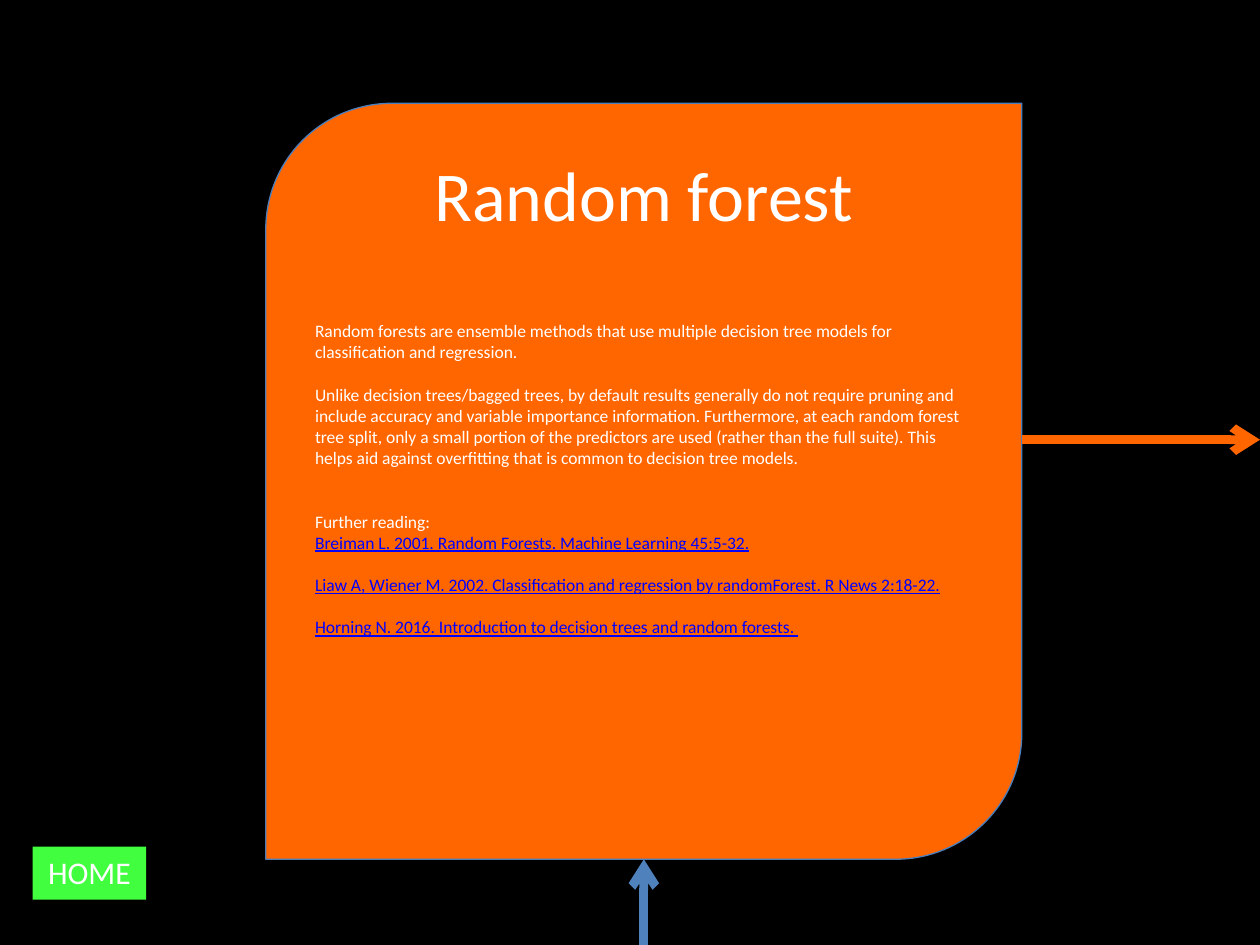
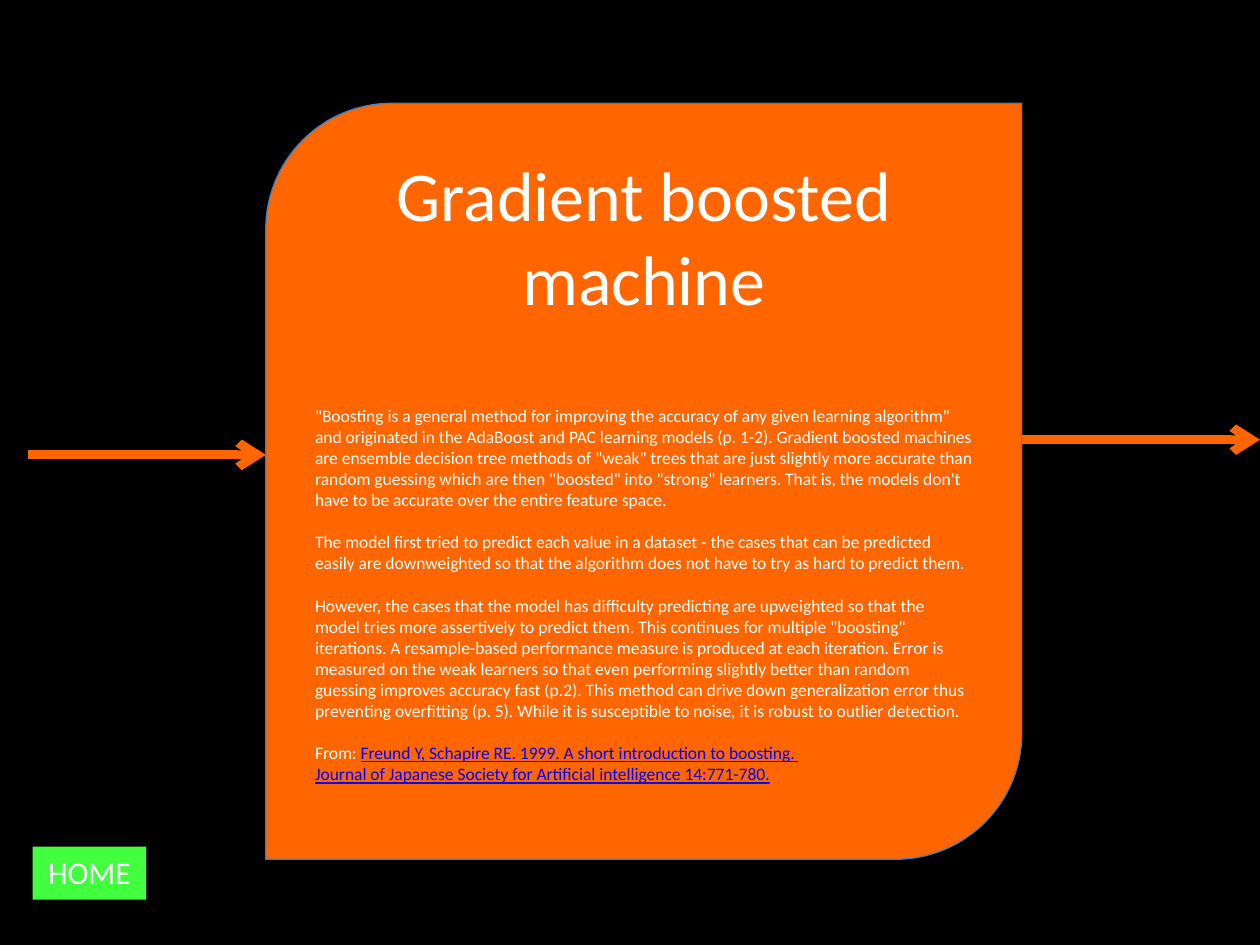
from lxml import etree
from pptx import Presentation
from pptx.dml.color import RGBColor
from pptx.enum.shapes import MSO_CONNECTOR, MSO_SHAPE
from pptx.enum.text import MSO_ANCHOR, MSO_AUTO_SIZE, PP_ALIGN
from pptx.oxml.ns import qn
from pptx.util import Inches, Pt

FONT = "Calibri"
BLACK, WHITE, ORANGE = "000000", "FFFFFF", "FF6600"
GREEN, BLUE, OUTLINE, LINK = "41FF3F", "4F81BD", "4B7EBC", "0000FF"
CARD = (2.11, 0.82, 6, 6)
HOME = (0.26, 6.72, 0.9, 0.42)
CORNER = 0.29
TITLE_TOP, TITLE_LINE = 0.38, 0.67
BLANK_LINE = 12.2


def rgb(value):
    """Turn a hex string into a colour."""
    return RGBColor.from_string(value)


def inches(*lengths):
    """Turn numbers into lengths."""
    return [Inches(length) for length in lengths]


def add_run(paragraph, text, size, color=WHITE):
    """Add a run, underlined when it has the link colour."""
    run = paragraph.add_run()
    run.text = text
    run.font.name = FONT
    run.font.size = Pt(size)
    run.font.color.rgb = rgb(color)
    if color == LINK:
        run.font.underline = True


def add_arrow(slide, start, end, color):
    """Draw a thick arrow from start to end."""
    arrow = slide.shapes.add_connector(MSO_CONNECTOR.STRAIGHT, *inches(*start, *end))
    arrow.line.color.rgb = rgb(color)
    arrow.line.width = Pt(5)
    etree.SubElement(arrow.line._get_or_add_ln(), qn("a:tailEnd"), type="arrow")
    etree.SubElement(arrow._element.spPr, qn("a:effectLst"))


def add_title(slide, box, text, lines):
    """Place the title in the upper part of the card, above its fill."""
    left, top, width, _ = box
    title = slide.shapes.title
    title.left, title.top, title.width, title.height = inches(
        left + CORNER, top + TITLE_TOP, width - 2 * CORNER, lines * TITLE_LINE)
    frame = title.text_frame
    frame.auto_size = MSO_AUTO_SIZE.NONE
    frame.vertical_anchor = MSO_ANCHOR.TOP
    frame.margin_top = frame.margin_bottom = 0
    frame.paragraphs[0].alignment = PP_ALIGN.CENTER
    add_run(frame.paragraphs[0], text, 40)
    slide.shapes._spTree.append(title._element)


def add_card(slide, box, title, title_lines, body):
    """Draw the card with its title and, one title line below, its text."""
    card = slide.shapes.add_shape(MSO_SHAPE.ROUND_2_DIAG_RECTANGLE, *inches(*box))
    card.shadow.inherit = False
    card.fill.solid()
    card.fill.fore_color.rgb = rgb(ORANGE)
    card.line.color.rgb = rgb(OUTLINE)
    card.line.width = Pt(0.75)
    frame = card.text_frame
    frame.word_wrap = True
    frame.vertical_anchor = MSO_ANCHOR.TOP
    frame.margin_top = Inches(TITLE_TOP + (title_lines + 1) * TITLE_LINE - CORNER)
    for index, (blank_lines, runs) in enumerate(body):
        paragraph = frame.add_paragraph() if index else frame.paragraphs[0]
        paragraph.alignment = PP_ALIGN.LEFT
        paragraph.space_before = Pt(blank_lines * BLANK_LINE)
        for text, color in runs:
            first, *rest = text.split("\n")
            add_run(paragraph, first, 10, color)
            for line in rest:
                paragraph.add_line_break()
                add_run(paragraph, line, 10, color)
    add_title(slide, box, title, title_lines)


def add_home(slide, box):
    """Place the green home button."""
    button = slide.shapes.add_textbox(*inches(*box))
    button.fill.solid()
    button.fill.fore_color.rgb = rgb(GREEN)
    frame = button.text_frame
    frame.word_wrap = False
    frame.auto_size = MSO_AUTO_SIZE.SHAPE_TO_FIT_TEXT
    frame.paragraphs[0].alignment = PP_ALIGN.CENTER
    add_run(frame.paragraphs[0], "HOME", 18)


def add_method_slide(prs, title, title_lines, body, entry):
    """Build one method slide with its entry arrow and the arrow onwards."""
    slide = prs.slides.add_slide(prs.slide_layouts.get_by_name("Title Only"))
    add_card(slide, CARD, title, title_lines, body)
    add_home(slide, HOME)
    add_arrow(slide, (CARD[0] + CARD[2], 3.49), (10, 3.49), ORANGE)
    add_arrow(slide, *entry)


FOREST = [
    (0, [("Random forests are ensemble methods that use multiple decision tree models "
          "for classification and regression. ", WHITE)]),
    (1, [("Unlike decision trees/bagged trees, by default results generally do not "
          "require pruning and include accuracy and variable importance information. "
          "Furthermore, at each random forest tree split, only a small portion of the "
          "predictors are used (rather than the full suite). This helps aid against "
          "overfitting that is common to decision tree models. ", WHITE)]),
    (2, [("Further reading:", WHITE)]),
    (0, [("Breiman L. 2001. Random Forests. Machine Learning 45:5-32.", LINK)]),
    (1, [("Liaw A, Wiener M. 2002. Classification and regression by randomForest. "
          "R News 2:18-22.", LINK)]),
    (1, [("Horning N. 2016. Introduction to decision trees and random forests. ", LINK)]),
]
BOOSTING = [
    (0, [("\"Boosting is a general method for improving the accuracy of any given "
          "learning algorithm\" and originated in the AdaBoost and PAC learning models "
          "(p. 1-2). Gradient boosted machines are ensemble decision tree methods of "
          "\"weak\" trees that are just slightly more accurate than random guessing "
          "which are then \"boosted\" into \"strong\" learners. That is, the models "
          "don't have to be accurate over the entire feature space. ", WHITE)]),
    (1, [("The model first tried to predict each value in a dataset - the cases that "
          "can be predicted easily are downweighted so that the algorithm does not have "
          "to try as hard to predict them. ", WHITE)]),
    (1, [("However, the cases that the model has difficulty predicting are upweighted "
          "so that the model tries more assertively to predict them. This continues for "
          "multiple \"boosting\" iterations. A resample-based performance measure is "
          "produced at each iteration. Error is measured on the weak learners so that "
          "even performing slightly better than random guessing improves accuracy fast "
          "(p.2). This method can drive down generalization error thus preventing "
          "overfitting (p. 5). While it is susceptible to noise, it is robust to "
          "outlier detection. ", WHITE)]),
    (1, [("From: ", WHITE),
         ("Freund Y, Schapire RE. 1999. A short introduction to boosting. \n"
          "Journal of Japanese Society for Artificial intelligence 14:771-780.", LINK)]),
]

prs = Presentation()
prs.slide_width, prs.slide_height = inches(10, 7.5)
background = prs.slide_master.background.fill
background.solid()
background.fore_color.rgb = rgb(BLACK)
add_method_slide(prs, "Random forest", 1, FOREST,
                 ((5.11, 7.5), (5.11, CARD[1] + CARD[3]), BLUE))
add_method_slide(prs, "Gradient boosted machine", 2, BOOSTING,
                 ((0.22, 3.61), (CARD[0], 3.61), ORANGE))
prs.save("out.pptx")
